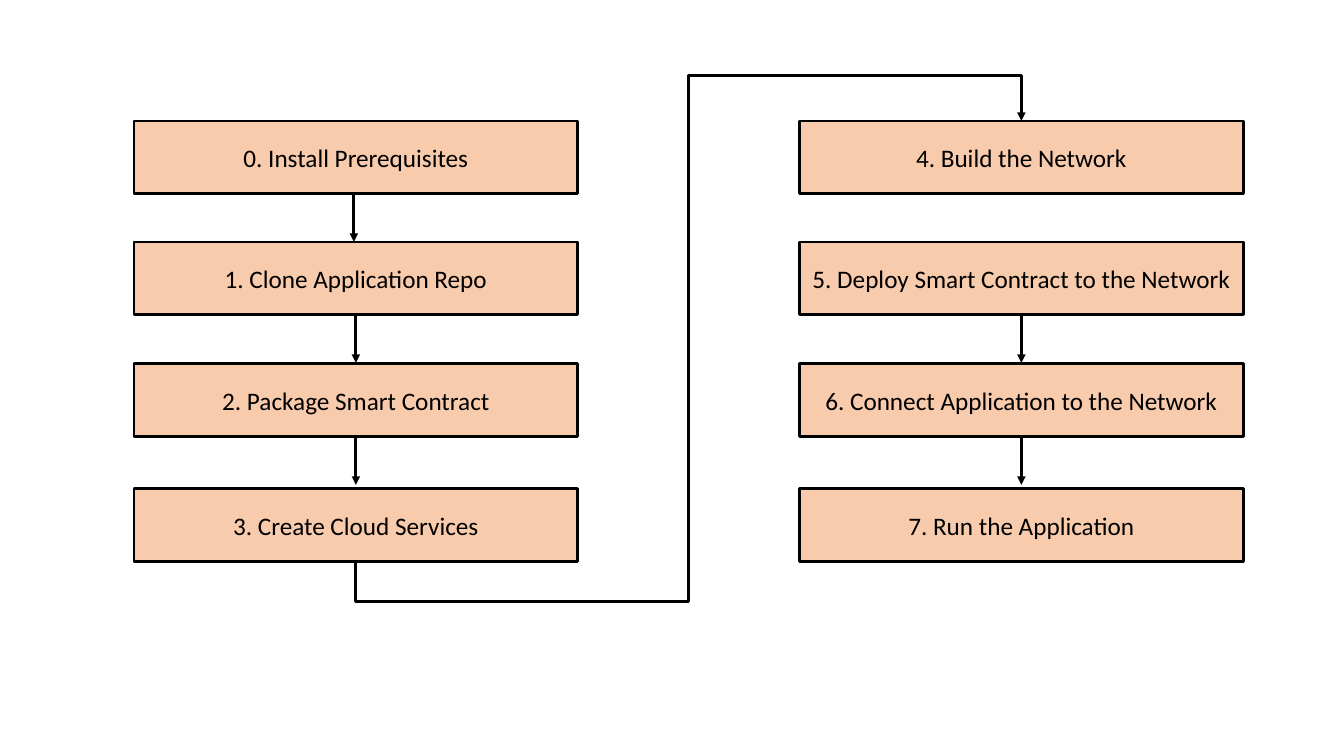
import pptx
import pptx.dml.color
import pptx.enum.shapes
import pptx.enum.text
import pptx.oxml
import pptx.oxml.ns
import pptx.util

Inches = pptx.util.Inches
Pt = pptx.util.Pt
RGBColor = pptx.dml.color.RGBColor
Kind = pptx.enum.shapes.MSO_CONNECTOR
qn = pptx.oxml.ns.qn

PEACH = RGBColor(0xF8, 0xCB, 0xAD)
BLACK = RGBColor(0, 0, 0)

WIDTH, HEIGHT = 4.4, 0.72
ROWS = [0, 1.2, 2.41, 3.65]
DROP = 0.48
LEFT = ["0. Install Prerequisites", "1. Clone Application Repo",
        "2. Package Smart Contract", "3. Create Cloud Services"]
RIGHT = ["4. Build the Network", "5. Deploy Smart Contract to the Network",
         "6. Connect Application to the Network", "7. Run the Application"]


def add_step(slide, text, x, y):
    """Draw one step box with centred text."""
    box = slide.shapes.add_shape(
        pptx.enum.shapes.MSO_SHAPE.RECTANGLE,
        Inches(x), Inches(y), Inches(WIDTH), Inches(HEIGHT))
    box.shadow.inherit = False
    box.fill.solid()
    box.fill.fore_color.rgb = PEACH
    box.line.color.rgb = BLACK
    box.line.width = Pt(2)
    frame = box.text_frame
    frame.word_wrap = True
    frame.vertical_anchor = pptx.enum.text.MSO_ANCHOR.MIDDLE
    para = frame.paragraphs[0]
    para.text = text
    para.alignment = pptx.enum.text.PP_ALIGN.CENTER
    para.font.name = "Calibri"
    para.font.size = Pt(18)
    para.font.color.rgb = BLACK
    return box


def add_arrow(slide, kind, x1, y1, x2, y2):
    """Draw a black connector with a triangle at its end."""
    arrow = slide.shapes.add_connector(
        kind, Inches(x1), Inches(y1), Inches(x2), Inches(y2))
    arrow.line.color.rgb = BLACK
    arrow.line.width = Pt(2)
    line = arrow.line._get_or_add_ln()
    pptx.oxml.ns  # namespace helpers
    head = line.makeelement(qn("a:tailEnd"), {"type": "triangle"})
    line.append(head)
    props = arrow._element.spPr
    props.append(props.makeelement(qn("a:effectLst"), {}))
    return arrow


def add_column(slide, steps, x, y, shifts):
    """Stack steps from (x, y); shifts maps a row to its arrow's x offset."""
    boxes = [add_step(slide, text, x, y + row)
             for text, row in zip(steps, ROWS)]
    for index, shift in shifts.items():
        mid = x + WIDTH / 2 + shift
        top = y + ROWS[index] + HEIGHT
        add_arrow(slide, Kind.STRAIGHT, mid, top, mid, top + DROP)
    return boxes


def add_bend(slide, start, end, below, above):
    """Link the foot of start to the top of end, around both columns."""
    x1, y1 = start.left + start.width // 2, start.top + start.height
    x2, y2 = end.left + end.width // 2, end.top
    bend = add_arrow(slide, Kind.ELBOW, 0, 0, 1, 1)
    bend.begin_connect(start, 2)
    bend.end_connect(end, 0)
    rise, span = y1 - y2, x2 - x1
    bend.left = (x1 + x2 - rise) // 2
    bend.top = (y1 + y2 - span) // 2
    bend.width, bend.height = rise, span
    props = bend._element.spPr
    for key, value in (("rot", "5400000"), ("flipH", "1"), ("flipV", "1")):
        props.find(qn("a:xfrm")).set(key, value)
    shape = props.find(qn("a:prstGeom"))
    shape.set("prst", "bentConnector5")
    guides = shape.find(qn("a:avLst"))
    if guides is None:
        guides = shape.makeelement(qn("a:avLst"), {})
        shape.append(guides)
    ratios = (-Inches(below) / rise, 0.5, 1 + Inches(above) / rise)
    for index, ratio in enumerate(ratios, 1):
        guides.append(guides.makeelement(qn("a:gd"), {
            "name": f"adj{index}", "fmla": f"val {round(ratio * 100000)}"}))


def main():
    """Build the flow chart slide."""
    deck = pptx.Presentation()
    deck.slide_width, deck.slide_height = Inches(13.33), Inches(7.5)
    slide = deck.slides.add_slide(deck.slide_layouts[6])
    left = add_column(slide, LEFT, 1.33, 1.2, {0: -0.02, 1: 0, 2: 0})
    right = add_column(slide, RIGHT, 7.93, 1.2, {1: 0, 2: 0})
    add_bend(slide, left[-1], right[0], 0.4, 0.45)
    deck.save("out.pptx")


main()
